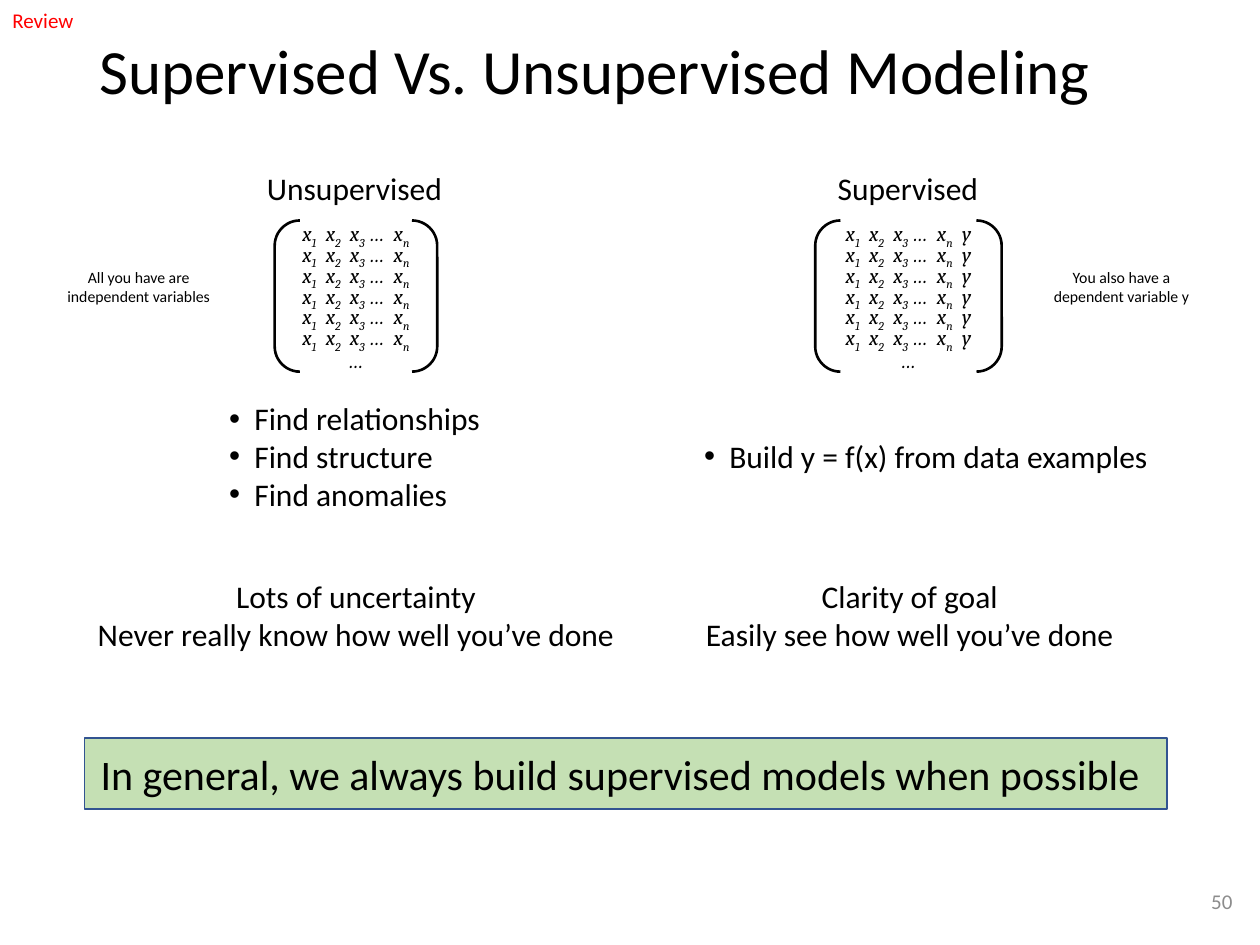
from lxml.etree import SubElement
from pptx import Presentation
from pptx.dml.color import RGBColor
from pptx.enum.shapes import MSO_SHAPE as SHAPE
from pptx.enum.text import MSO_ANCHOR as ANCHOR, MSO_AUTO_SIZE as AUTOSIZE, PP_ALIGN as ALIGN
from pptx.oxml.ns import qn
from pptx.util import Inches, Pt

COLORS = {"text": "000000", "review": "FF0000", "number": "8C8C8C",
          "banner": "C5E0B4", "banner_line": "325491"}

# Content: lines, box (left, top, width, height), then options for add_text
TEXTS = [
    (["Supervised Vs. Unsupervised Modeling"], (0.69, 0.19, 8.62, 0.8),
     dict(size=36, anchor=ANCHOR.MIDDLE, wrap=True, grow=False, line_spacing=0.9)),
    (["50"], (9.31, 6.95, 0.57, 0.4),
     dict(size=12, color="number", align=ALIGN.RIGHT, anchor=ANCHOR.MIDDLE,
          wrap=True, grow=False)),
    (["Review"], (0, 0.01, 0.69, 0.3), dict(size=12, color="review")),
    (["Unsupervised"], (2.02, 1.29, 1.61, 0.4), {}),
    (["Supervised"], (6.55, 1.29, 1.33, 0.4), {}),
    (["All you have are independent variables"], (0.36, 2.08, 1.48, 0.4),
     dict(size=9, align=ALIGN.CENTER, wrap=True)),
    (["You also have a dependent variable y"], (8.16, 2.08, 1.48, 0.4),
     dict(size=9, align=ALIGN.CENTER, wrap=True)),
    (["Find relationships", "Find structure", "Find anomalies"],
     (1.72, 3.12, 2.22, 1.01), dict(bullet=True)),
    (["Build y = f(x) from data examples"], (5.49, 3.42, 3.76, 0.4), dict(bullet=True)),
    (["Lots of uncertainty", "Never really know how well you’ve done"],
     (0.65, 4.53, 4.35, 0.71), dict(align=ALIGN.CENTER)),
    (["Clarity of goal", "Easily see how well you’ve done"],
     (5.48, 4.53, 3.48, 0.71), dict(align=ALIGN.CENTER)),
]
BANNER = "In general, we always build supervised models when possible"

# Matrix rows: (text, is subscript)
X_ROW = [("x", False), ("1", True), ("  x", False), ("2", True),
         ("  x", False), ("3", True), (" …  x", False), ("n", True)]
# Matrices: row, bracket left and width, row width
MATRICES = [
    (X_ROW, 2.18, 1.29, 0.97),
    (X_ROW + [("  y", False)], 6.47, 1.48, 1.13),
]
ROW_COUNT, ROW_TOP, ROW_STEP, ROW_HEIGHT = 6, 1.78, 0.165, 0.2
DOTS_TOP, DOTS_WIDTH = 2.76, 0.15
BRACKET_TOP, BRACKET_HEIGHT = 1.75, 1.2


def rgb(name):
    return RGBColor.from_string(COLORS[name])


def inches(box):
    return [Inches(length) for length in box]


def set_font(paragraph, size, name="Calibri", color="text", italic=None):
    font = paragraph.font
    font.name, font.size, font.italic = name, Pt(size), italic
    font.color.rgb = rgb(color)


def add_bullet(paragraph):
    props = paragraph._p.get_or_add_pPr()
    props.set("marL", str(Inches(0.2)))
    props.set("indent", str(-Inches(0.2)))
    SubElement(props, qn("a:buFont")).set("typeface", "Arial")
    SubElement(props, qn("a:buChar")).set("char", "•")


def add_text(shapes, lines, box, size=18, color="text", align=ALIGN.LEFT,
             anchor=ANCHOR.TOP, wrap=False, grow=True, bullet=False, line_spacing=None):
    frame = shapes.add_textbox(*inches(box)).text_frame
    frame.word_wrap = wrap
    frame.auto_size = AUTOSIZE.SHAPE_TO_FIT_TEXT if grow else AUTOSIZE.NONE
    frame.vertical_anchor = anchor
    frame.text = "\n".join(lines)
    for paragraph in frame.paragraphs:
        paragraph.alignment = align
        if line_spacing:
            paragraph.line_spacing = line_spacing
        if bullet:
            add_bullet(paragraph)
        set_font(paragraph, size, color=color)


def add_matrix_row(shapes, terms, center, top, width):
    frame = shapes.add_textbox(*inches((center - width / 2, top, width, ROW_HEIGHT))).text_frame
    frame.margin_left = frame.margin_right = frame.margin_top = frame.margin_bottom = 0
    frame.word_wrap = False
    frame.auto_size = AUTOSIZE.SHAPE_TO_FIT_TEXT
    frame.vertical_anchor = ANCHOR.BOTTOM
    paragraph = frame.paragraphs[0]
    paragraph.alignment = ALIGN.CENTER
    set_font(paragraph, 12, name="Cambria", italic=True)
    for text, subscript in terms:
        run = paragraph.add_run()
        run.text = text
        if subscript:
            run.font._element.set("baseline", "-25000")


def add_matrix(shapes, terms, left, width, row_width):
    group = shapes.add_group_shape().shapes
    center = left + width / 2
    for i in range(ROW_COUNT):
        add_matrix_row(group, terms, center, ROW_TOP + i * ROW_STEP, row_width)
    add_matrix_row(group, [("…", False)], center, DOTS_TOP, DOTS_WIDTH)
    bracket = group.add_shape(
        SHAPE.DOUBLE_BRACKET, *inches((left, BRACKET_TOP, width, BRACKET_HEIGHT)))
    bracket.shadow.inherit = False
    bracket.fill.background()
    bracket.line.color.rgb = rgb("text")
    bracket.line.width = Pt(1.5)


def add_banner(shapes):
    group = shapes.add_group_shape().shapes
    panel = group.add_shape(SHAPE.RECTANGLE, *inches((0.67, 5.86, 8.59, 0.56)))
    panel.shadow.inherit = False
    panel.fill.solid()
    panel.fill.fore_color.rgb = rgb("banner")
    panel.line.color.rgb = rgb("banner_line")
    panel.line.width = Pt(1)
    add_text(group, [BANNER], (0.7, 5.89, 8.53, 0.5), size=24)


def main():
    deck = Presentation()
    deck.slide_width, deck.slide_height = Inches(10), Inches(7.5)
    shapes = deck.slides.add_slide(deck.slide_layouts[6]).shapes
    for lines, box, options in TEXTS:
        add_text(shapes, lines, box, **options)
    for matrix in MATRICES:
        add_matrix(shapes, *matrix)
    add_banner(shapes)
    deck.save("out.pptx")


if __name__ == "__main__":
    main()
